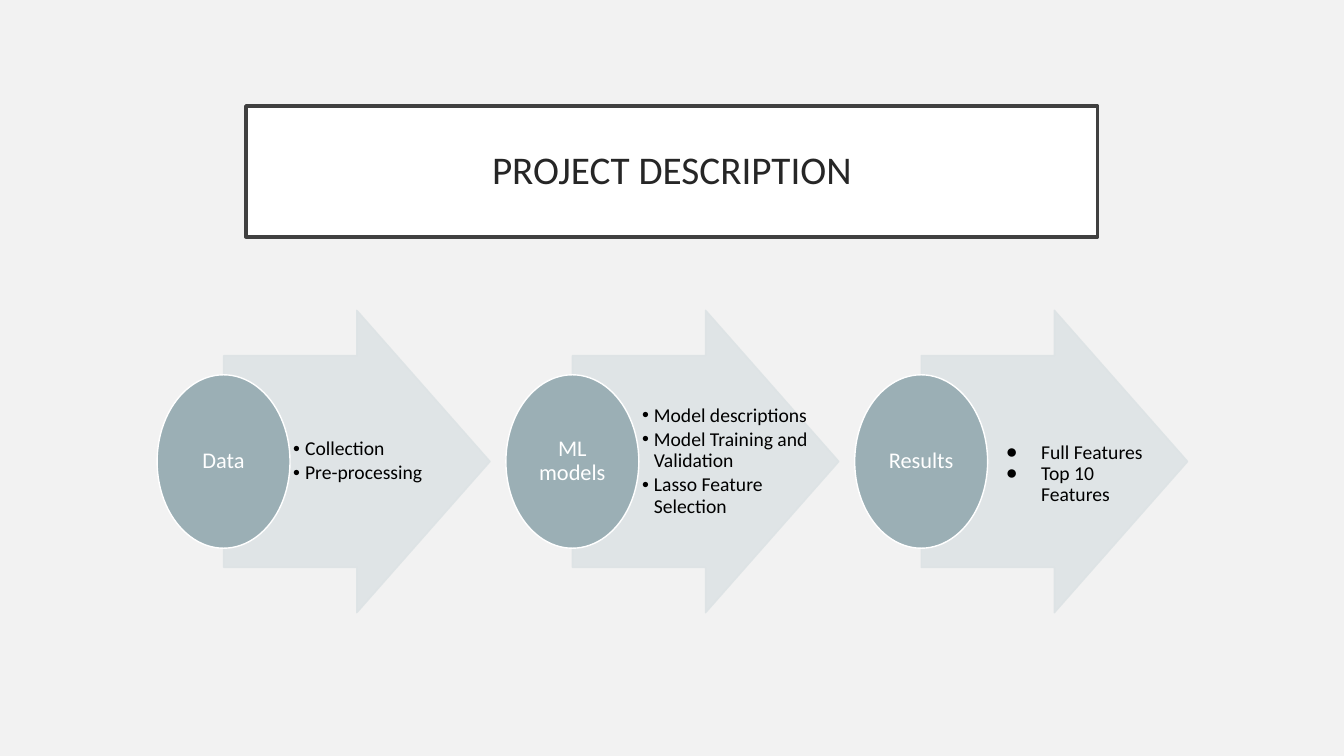
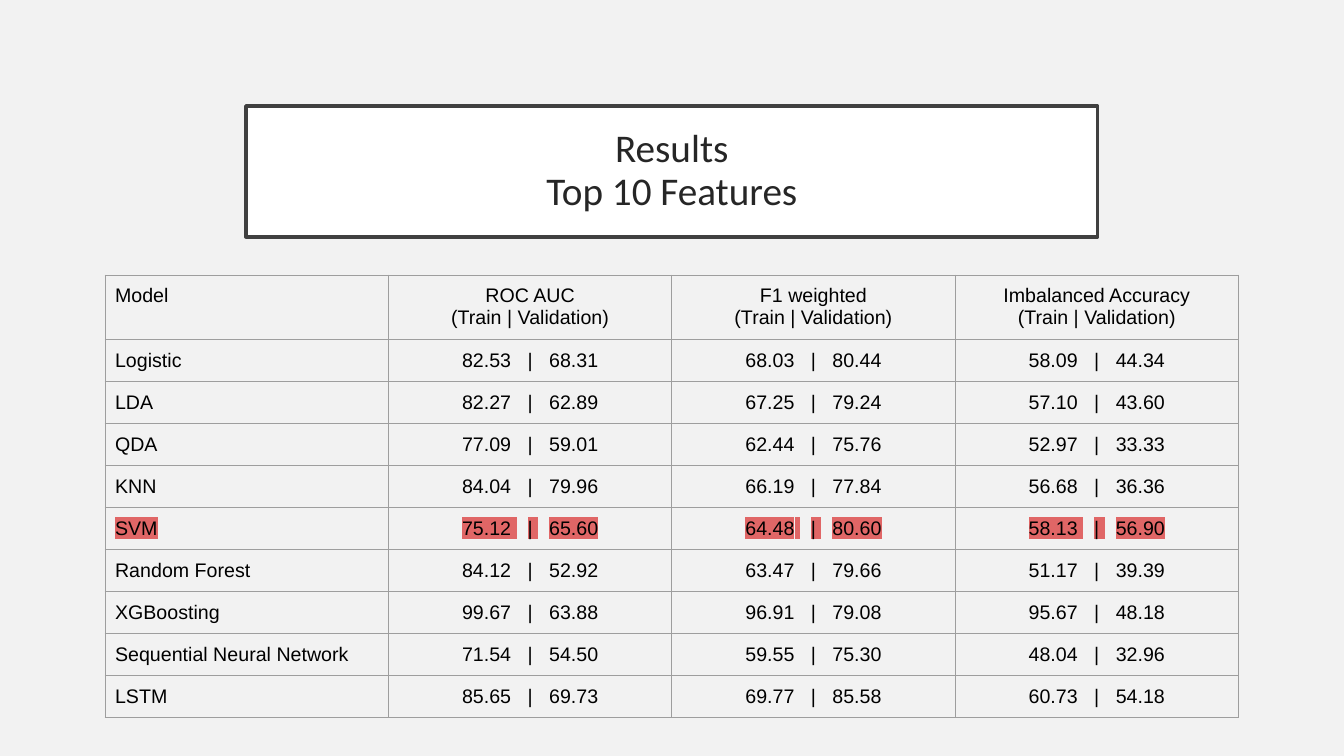
from dataclasses import dataclass

from lxml.etree import SubElement
from pptx import Presentation
from pptx.dml.color import RGBColor
from pptx.enum.shapes import MSO_SHAPE as Shape
from pptx.enum.text import MSO_ANCHOR as Anchor, MSO_AUTO_SIZE as AutoSize, PP_ALIGN as Align
from pptx.oxml.ns import qn
from pptx.util import Cm, Pt


@dataclass(frozen=True)
class Theme:
    """Colours, fonts and type sizes shared by the slides."""
    background: str = "F2F2F2"
    white: str = "FFFFFF"
    black: str = "000000"
    title_text: str = "262626"
    title_border: str = "404040"
    arrow: str = "DDE3E5"
    circle: str = "9BAFB5"
    grid: str = "9E9E9E"
    highlight: str = "E06666"
    font: str = "Calibri"
    table_font: str = "Arial"
    title_size: int = 28
    label_size: int = 16
    body_size: int = 14


THEME = Theme()
TITLE_BOX = (6.2, 2.67, 21.46, 3.3)

# Stages: label, bullet items, bullet character, left indent, hanging indent, downward shift
STAGES = [
    ("Data", ["Collection", "Pre-processing"], "•", 0.3, 0.3, 0),
    ("ML models", ["Model descriptions", "Model Training and Validation",
                   "Lasso Feature Selection"], "•", 0.3, 0.3, 0),
    ("Results", ["Full Features", "Top 10 Features"], "●", 1.27, 0.89, 0.32),
]

HEADERS = ["Model"] + [f"{metric}\n(Train | Validation)" for metric in
                       ("ROC AUC", "F1 weighted", "Imbalanced Accuracy")]

# Scores: model, then a train and validation pair for each metric
SCORES = [
    ("Logistic", ("82.53", "68.31"), ("68.03", "80.44"), ("58.09", "44.34")),
    ("LDA", ("82.27", "62.89"), ("67.25", "79.24"), ("57.10", "43.60")),
    ("QDA", ("77.09", "59.01"), ("62.44", "75.76"), ("52.97", "33.33")),
    ("KNN", ("84.04", "79.96"), ("66.19", "77.84"), ("56.68", "36.36")),
    ("SVM", ("75.12", "65.60"), ("64.48", "80.60"), ("58.13", "56.90")),
    ("Random Forest", ("84.12", "52.92"), ("63.47", "79.66"), ("51.17", "39.39")),
    ("XGBoosting", ("99.67", "63.88"), ("96.91", "79.08"), ("95.67", "48.18")),
    ("Sequential Neural Network", ("71.54", "54.50"), ("59.55", "75.30"), ("48.04", "32.96")),
    ("LSTM", ("85.65", "69.73"), ("69.77", "85.58"), ("60.73", "54.18")),
]
HIGHLIGHTED_MODEL = "SVM"


def color(value):
    return RGBColor.from_string(value)


def style_paragraph(paragraph, size, text_color, font=THEME.font, align=Align.LEFT, spacing=0.9):
    paragraph.alignment = align
    paragraph.line_spacing = spacing
    paragraph.font.name = font
    paragraph.font.size = Pt(size)
    paragraph.font.color.rgb = color(text_color)


def set_frame(frame, margins):
    frame.word_wrap = True
    frame.auto_size = AutoSize.NONE
    frame.vertical_anchor = Anchor.MIDDLE
    (frame.margin_left, frame.margin_top,
     frame.margin_right, frame.margin_bottom) = map(Cm, margins)


def paint(shape, fill, line, width):
    shape.fill.solid()
    shape.fill.fore_color.rgb = color(fill)
    shape.line.color.rgb = color(line)
    shape.line.width = Pt(width)


def add_figure(slide, kind, box, fill, line):
    shape = slide.shapes.add_shape(kind, *map(Cm, box))
    shape.shadow.inherit = False
    paint(shape, fill, line, 1)
    return shape


def set_bullet(paragraph, character, indent, hanging):
    properties = paragraph._p.get_or_add_pPr()
    properties.set("marL", str(Cm(indent)))
    properties.set("indent", str(-Cm(hanging)))
    bullet_color = SubElement(properties, qn("a:buClr"))
    SubElement(bullet_color, qn("a:srgbClr"), val=THEME.black)
    SubElement(properties, qn("a:buFont"), typeface="Arial")
    SubElement(properties, qn("a:buChar"), char=character)


def add_titled_slide(presentation, text):
    slide = presentation.slides.add_slide(presentation.slide_layouts[5])
    title = slide.shapes.title
    title.left, title.top, title.width, title.height = map(Cm, TITLE_BOX)
    paint(title, THEME.white, THEME.title_border, 2.5)
    title.text_frame.text = text
    set_frame(title.text_frame, [0.5] * 4)
    for paragraph in title.text_frame.paragraphs:
        style_paragraph(paragraph, THEME.title_size, THEME.title_text, align=Align.CENTER)
    return slide


def add_stage(slide, box, label, items, character, indent, hanging, shift):
    left, top, width, height = box
    circle_width, circle_height = 3.35, 4.37

    # Translucent arrow
    arrow_left = left + circle_width / 2
    arrow = add_figure(slide, Shape.RIGHT_ARROW,
                       (arrow_left, top, left + width - arrow_left, height),
                       THEME.arrow, THEME.arrow)
    arrow.adjustments[0], arrow.adjustments[1] = 0.7, 0.5
    for tone in arrow._element.spPr.iter(qn("a:srgbClr")):
        SubElement(tone, qn("a:alpha"), val="90000")

    # Bullet list
    list_box = (left + circle_width - 0.02, top + shift, 4.4, height)
    frame = slide.shapes.add_textbox(*map(Cm, list_box)).text_frame
    frame.text = "\n".join(items)
    set_frame(frame, (0.1, 0.03, 0.05, 0.03))
    for index, paragraph in enumerate(frame.paragraphs):
        set_bullet(paragraph, character, indent, hanging)
        style_paragraph(paragraph, THEME.body_size, THEME.black)
        paragraph.space_before = Pt(2.1 if index and not shift else 0)

    # Labelled circle
    circle_top = top + (height - circle_height) / 2
    circle = add_figure(slide, Shape.OVAL, (left, circle_top, circle_width, circle_height),
                        THEME.circle, THEME.white)
    circle.text_frame.text = label
    set_frame(circle.text_frame, [0.03] * 4)
    style_paragraph(circle.text_frame.paragraphs[0], THEME.label_size, THEME.white,
                    align=Align.CENTER)


def add_process(slide, box):
    left, top, width, height = box
    gap = 0.4
    stage_width = (width - gap * (len(STAGES) - 1)) / len(STAGES)
    for index, stage in enumerate(STAGES):
        stage_left = left + index * (stage_width + gap)
        add_stage(slide, (stage_left, top, stage_width, height), *stage)


def set_borders(cell):
    properties = cell._tc.get_or_add_tcPr()
    for side in ("a:lnL", "a:lnR", "a:lnT", "a:lnB"):
        line = SubElement(properties, qn(side), w=str(Pt(0.75)))
        fill = SubElement(line, qn("a:solidFill"))
        SubElement(fill, qn("a:srgbClr"), val=THEME.grid)


def write_scores(paragraph, train, validation):
    """Write a pair of scores around a bar, with widened spaces."""
    for text in (train, " ", "|", " ", validation):
        run = paragraph.add_run()
        run.text = text
        if text == " ":
            run._r.get_or_add_rPr().set("spc", "780")


def highlight(paragraph):
    for run in paragraph.runs:
        marker = SubElement(run._r.get_or_add_rPr(), qn("a:highlight"))
        SubElement(marker, qn("a:srgbClr"), val=THEME.highlight)


def fill_cell(cell, content, align, marked):
    set_borders(cell)
    cell.fill.background()
    cell.margin_left = cell.margin_right = cell.margin_top = cell.margin_bottom = Cm(0.25)
    frame = cell.text_frame
    if isinstance(content, tuple):
        write_scores(frame.paragraphs[0], *content)
    else:
        frame.text = content
    for paragraph in frame.paragraphs:
        style_paragraph(paragraph, THEME.body_size, THEME.black, THEME.table_font, align, 1.0)
        if marked:
            highlight(paragraph)


def add_score_table(slide, box):
    left, top, width, height = box
    rows = [HEADERS, *SCORES]
    header_height = 1.62
    table = slide.shapes.add_table(len(rows), len(HEADERS), *map(Cm, box)).table
    table.first_row = table.horz_banding = False
    for column in table.columns:
        column.width = Cm(width / len(HEADERS))
    for row_index, values in enumerate(rows):
        row_height = (height - header_height) / len(SCORES) if row_index else header_height
        table.rows[row_index].height = Cm(row_height)
        for column_index, content in enumerate(values):
            align = Align.CENTER if column_index else Align.LEFT
            fill_cell(table.cell(row_index, column_index), content, align,
                      values[0] == HIGHLIGHTED_MODEL)


def main():
    presentation = Presentation()
    presentation.slide_width, presentation.slide_height = Cm(33.87), Cm(19.05)
    background = presentation.slide_master.background.fill
    background.solid()
    background.fore_color.rgb = color(THEME.background)

    # Project stages
    slide = add_titled_slide(presentation, "PROJECT DESCRIPTION")
    add_process(slide, (3.96, 7.82, 25.97, 7.62))

    # Model scores
    slide = add_titled_slide(presentation, "Results\nTop 10 Features")
    add_score_table(slide, (2.65, 6.93, 28.56, 11.16))

    presentation.save("out.pptx")


if __name__ == "__main__":
    main()
